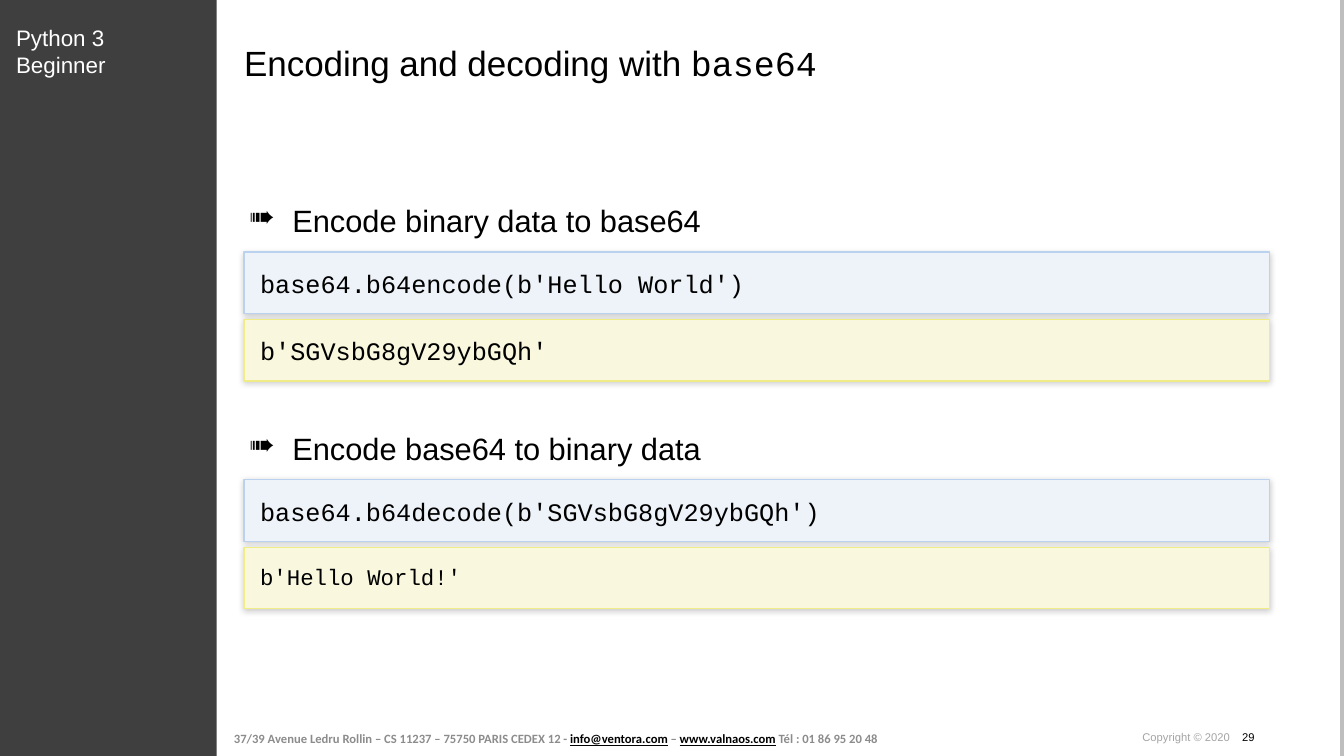
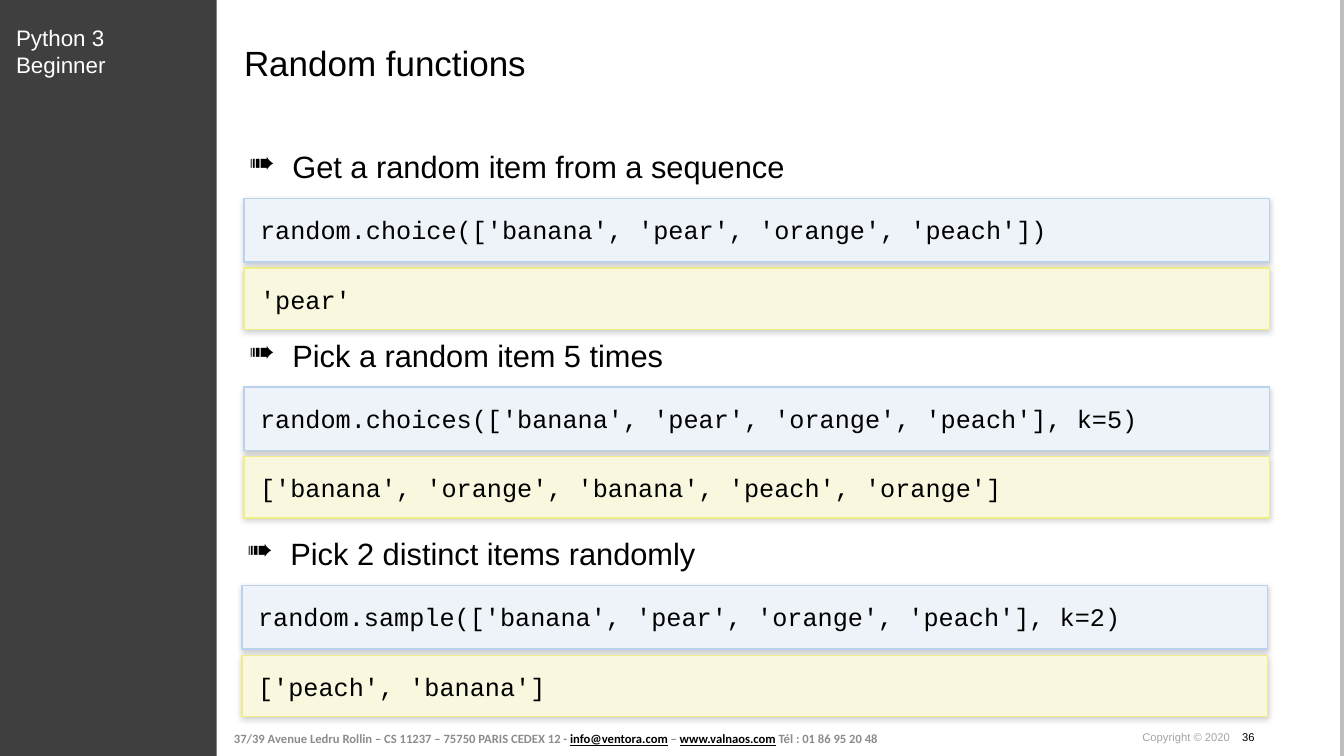
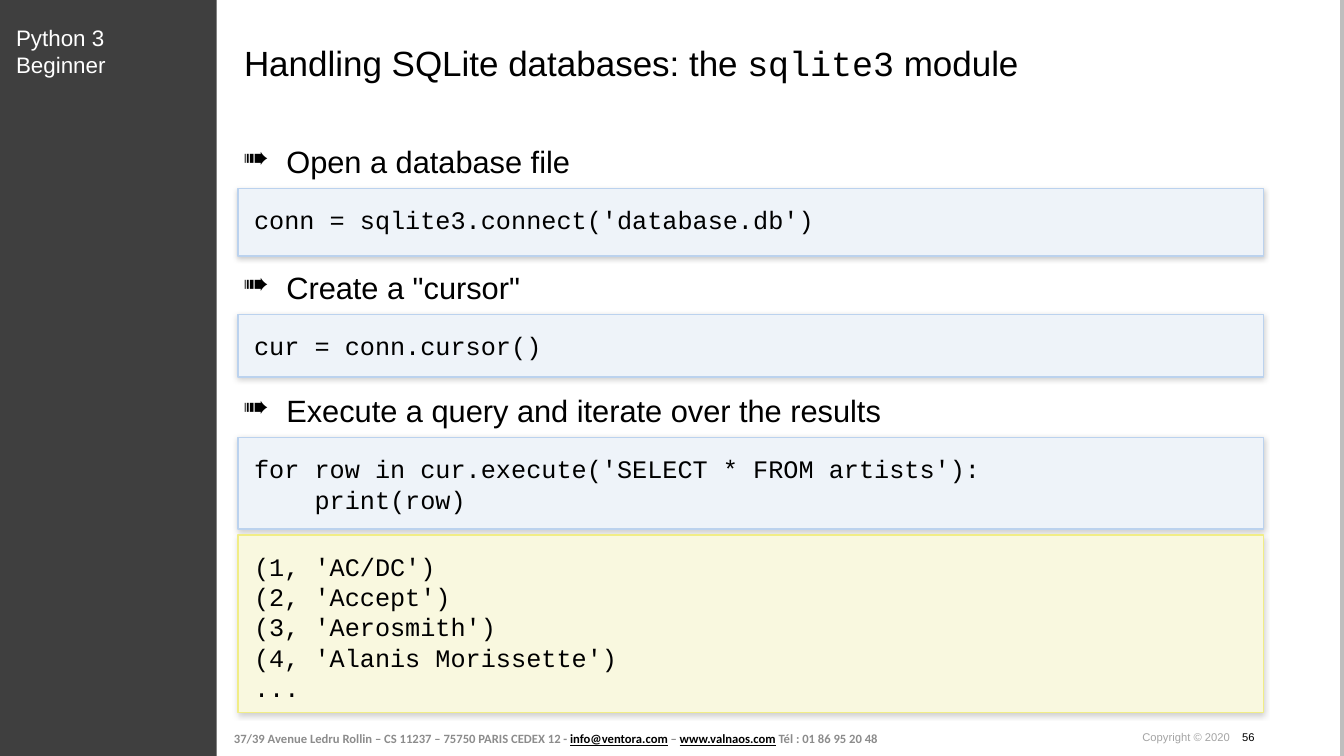
"""Build three slides of a Python course: base64, random and sqlite3."""
from dataclasses import dataclass

from lxml.etree import SubElement
from pptx import Presentation
from pptx.dml.color import RGBColor
from pptx.enum.shapes import MSO_CONNECTOR, MSO_SHAPE
from pptx.enum.text import MSO_ANCHOR, MSO_AUTO_SIZE, PP_ALIGN
from pptx.oxml.ns import qn
from pptx.util import Inches, Pt

BLACK = RGBColor(0x00, 0x00, 0x00)
WHITE = RGBColor(0xFF, 0xFF, 0xFF)
SIDEBAR = RGBColor(0x3F, 0x3F, 0x3F)
EDGE = RGBColor(0xBE, 0xBE, 0xBE)
FOOTER_GRAY = RGBColor(0x8C, 0x8C, 0x8C)
COPYRIGHT_GRAY = RGBColor(0xA4, 0xA4, 0xA4)
CODE_COLORS = (RGBColor(0xEE, 0xF3, 0xF9), RGBColor(0xBB, 0xD2, 0xEE))
OUTPUT_COLORS = (RGBColor(0xF9, 0xF8, 0xDF), RGBColor(0xF1, 0xED, 0x86))

SANS = "Arial"
MONO = "Courier New"
FOOTER_FONT = "Calibri"

BLOCK_WIDTH = 10.17
BLOCK_GAP = 0.06
BLOCK_INSET = 0.16
HEADING_SHIFT = 1.76
HEADING_INDENT = 2.24
HEADING_HANGING = 0.43


@dataclass
class Block:
    """A box of code or of its output."""
    colors: tuple
    height: float
    text: str
    size: int = 18


def style_font(font, name, size, color):
    """Set the face, size and colour of a font."""
    font.name = name
    font.size = Pt(size)
    font.color.rgb = color


def set_frame(frame, anchor=MSO_ANCHOR.TOP, horizontal=0, vertical=0):
    """Set wrapping, anchor and insets of a text frame."""
    frame.word_wrap = True
    frame.auto_size = MSO_AUTO_SIZE.NONE
    frame.vertical_anchor = anchor
    frame.margin_left = frame.margin_right = Inches(horizontal)
    frame.margin_top = frame.margin_bottom = Inches(vertical)


def add_run(paragraph, text, name, size, color):
    """Add a formatted run and return its font."""
    run = paragraph.add_run()
    run.text = text
    style_font(run.font, name, size, color)
    return run.font


def add_text_box(slide, left, top, width, height):
    """Add an empty text box without insets and return its frame."""
    box = slide.shapes.add_textbox(
        Inches(left), Inches(top), Inches(width), Inches(height))
    set_frame(box.text_frame)
    return box.text_frame


def add_rectangle(slide, left, top, width, height, fill):
    """Add a plain filled rectangle."""
    shape = slide.shapes.add_shape(
        MSO_SHAPE.RECTANGLE, Inches(left), Inches(top), Inches(width), Inches(height))
    shape.shadow.inherit = False
    shape.fill.solid()
    shape.fill.fore_color.rgb = fill
    shape.line.fill.background()
    return shape


def add_soft_shadow(shape):
    """Give a shape a faint shadow below it."""
    effects = shape.element.spPr.find(qn("a:effectLst"))
    shadow = SubElement(effects, qn("a:outerShdw"), blurRad=str(Pt(4)),
                        dist=str(Pt(1)), dir="5400000", rotWithShape="0")
    color = SubElement(shadow, qn("a:srgbClr"), val="000000")
    SubElement(color, qn("a:alpha"), val="20000")


def add_block(slide, left, top, block):
    """Add a code or output box."""
    fill, line = block.colors
    shape = add_rectangle(slide, left, top, BLOCK_WIDTH, block.height, fill)
    shape.line.color.rgb = line
    shape.line.width = Pt(1)
    add_soft_shadow(shape)
    frame = shape.text_frame
    set_frame(frame, horizontal=BLOCK_INSET, vertical=BLOCK_INSET)
    frame.text = block.text
    for paragraph in frame.paragraphs:
        paragraph.alignment = PP_ALIGN.LEFT
        style_font(paragraph.font, MONO, block.size, BLACK)


def add_heading(slide, left, top, text):
    """Add a heading with an arrow bullet."""
    frame = add_text_box(slide, left - HEADING_SHIFT, top, 11.82, 0.37)
    paragraph = frame.paragraphs[0]
    paragraph.text = text
    properties = paragraph._p.get_or_add_pPr()
    properties.set("marL", str(Inches(HEADING_INDENT)))
    properties.set("indent", str(-Inches(HEADING_HANGING)))
    SubElement(properties, qn("a:buChar"), char="➠")
    style_font(paragraph.font, SANS, 22, BLACK)


def add_example(slide, left, top, heading, blocks, offset=0.5):
    """Add a heading with its boxes stacked below."""
    add_heading(slide, left, top, heading)
    block_top = top + offset
    for block in blocks:
        add_block(slide, left, block_top, block)
        block_top += block.height + BLOCK_GAP


def add_edge(slide):
    """Add the gray line along the right edge."""
    edge = slide.shapes.add_connector(
        MSO_CONNECTOR.STRAIGHT, Inches(13.31), 0, Inches(13.31), Inches(7.5))
    edge.line.color.rgb = EDGE
    edge.line.width = Pt(3.34)
    SubElement(edge.element.spPr, qn("a:effectLst"))


def add_footer(slide, number):
    """Add the address line, the copyright and the page number."""
    frame = add_text_box(slide, 2.25, 7.17, 6.68, 0.32)
    set_frame(frame, MSO_ANCHOR.MIDDLE, 0.07, 0.04)
    parts = (
        ("37/39 Avenue Ledru Rollin – CS 11237 – 75750 PARIS CEDEX 12 - ", False),
        ("info@ventora.com", True),
        (" – ", False),
        ("www.valnaos.com", True),
        (" Tél : 01 86 95 20 48", False),
    )
    for text, is_link in parts:
        color = BLACK if is_link else FOOTER_GRAY
        font = add_run(frame.paragraphs[0], text, FOOTER_FONT, 9, color)
        font.bold = True
        font.underline = is_link

    paragraph = add_text_box(slide, 11.33, 7.25, 1.72, 0.13).paragraphs[0]
    tabs = SubElement(paragraph._p.get_or_add_pPr(), qn("a:tabLst"))
    SubElement(tabs, qn("a:tab"), pos=str(Inches(0.99)), algn="l")
    add_run(paragraph, "Copyright © 2020\t", SANS, 8, COPYRIGHT_GRAY)
    add_run(paragraph, str(number), SANS, 8, BLACK)


def add_course_slide(presentation, number, title_parts):
    """Add a slide with the shared frame and a title of (text, font) parts."""
    slide = presentation.slides.add_slide(presentation.slide_layouts[5])
    add_edge(slide)
    add_rectangle(slide, 0, 0, 2.15, 7.5, SIDEBAR)
    add_footer(slide, number)

    course = add_text_box(slide, 0.16, 0.24, 1.81, 0.54).paragraphs[0]
    course.text = "Python 3 Beginner"
    style_font(course.font, SANS, 16, WHITE)

    title = slide.shapes.title
    title.left, title.top = Inches(2.42), Inches(0.41)
    title.width, title.height = Inches(10.06), Inches(0.42)
    set_frame(title.text_frame)
    paragraph = title.text_frame.paragraphs[0]
    paragraph.alignment = PP_ALIGN.LEFT
    for text, name in title_parts:
        add_run(paragraph, text, name, 25, BLACK)
    return slide


def add_base64_slide(presentation):
    """Add the slide about base64."""
    slide = add_course_slide(
        presentation, 29, [("Encoding and decoding with ", SANS), ("base64", MONO)])
    add_example(slide, 2.42, 2, "Encode binary data to base64", [
        Block(CODE_COLORS, 0.61, "base64.b64encode(b'Hello World')"),
        Block(OUTPUT_COLORS, 0.61, "b'SGVsbG8gV29ybGQh'"),
    ])
    add_example(slide, 2.42, 4.26, "Encode base64 to binary data", [
        Block(CODE_COLORS, 0.61, "base64.b64decode(b'SGVsbG8gV29ybGQh')"),
        Block(OUTPUT_COLORS, 0.61, "b'Hello World!'", 16),
    ])


def add_random_slide(presentation):
    """Add the slide about random functions."""
    slide = add_course_slide(presentation, 36, [("Random functions", SANS)])
    examples = (
        (2.42, 1.47, "Get a random item from a sequence",
         "random.choice(['banana', 'pear', 'orange', 'peach'])",
         "'pear'"),
        (2.42, 3.34, "Pick a random item 5 times",
         "random.choices(['banana', 'pear', 'orange', 'peach'], k=5)",
         "['banana', 'orange', 'banana', 'peach', 'orange']"),
        (2.4, 5.31, "Pick 2 distinct items randomly",
         "random.sample(['banana', 'pear', 'orange', 'peach'], k=2)",
         "['peach', 'banana']"),
    )
    for left, top, heading, code, output in examples:
        add_example(slide, left, top, heading, [
            Block(CODE_COLORS, 0.63, code), Block(OUTPUT_COLORS, 0.61, output)])


def add_sqlite_slide(presentation):
    """Add the slide about sqlite3."""
    slide = add_course_slide(presentation, 56, [
        ("Handling SQLite databases: the ", SANS), ("sqlite3", MONO), (" module", SANS)])
    query = "for row in cur.execute('SELECT * FROM artists'):\n    print(row)"
    rows = ("(1, 'AC/DC')\n(2, 'Accept')\n(3, 'Aerosmith')\n"
            "(4, 'Alanis Morissette')\n...")
    examples = (
        (1.42, "Open a database file",
         [Block(CODE_COLORS, 0.67, "conn = sqlite3.connect('database.db')")]),
        (2.67, 'Create a "cursor"',
         [Block(CODE_COLORS, 0.62, "cur = conn.cursor()")]),
        (3.89, "Execute a query and iterate over the results",
         [Block(CODE_COLORS, 0.91, query), Block(OUTPUT_COLORS, 1.76, rows)]),
    )
    for top, heading, blocks in examples:
        add_example(slide, 2.36, top, heading, blocks, offset=0.45)


def main():
    """Build and save the presentation."""
    presentation = Presentation()
    presentation.slide_width = Inches(13.33)
    presentation.slide_height = Inches(7.5)
    add_base64_slide(presentation)
    add_random_slide(presentation)
    add_sqlite_slide(presentation)
    presentation.save("out.pptx")


if __name__ == "__main__":
    main()
